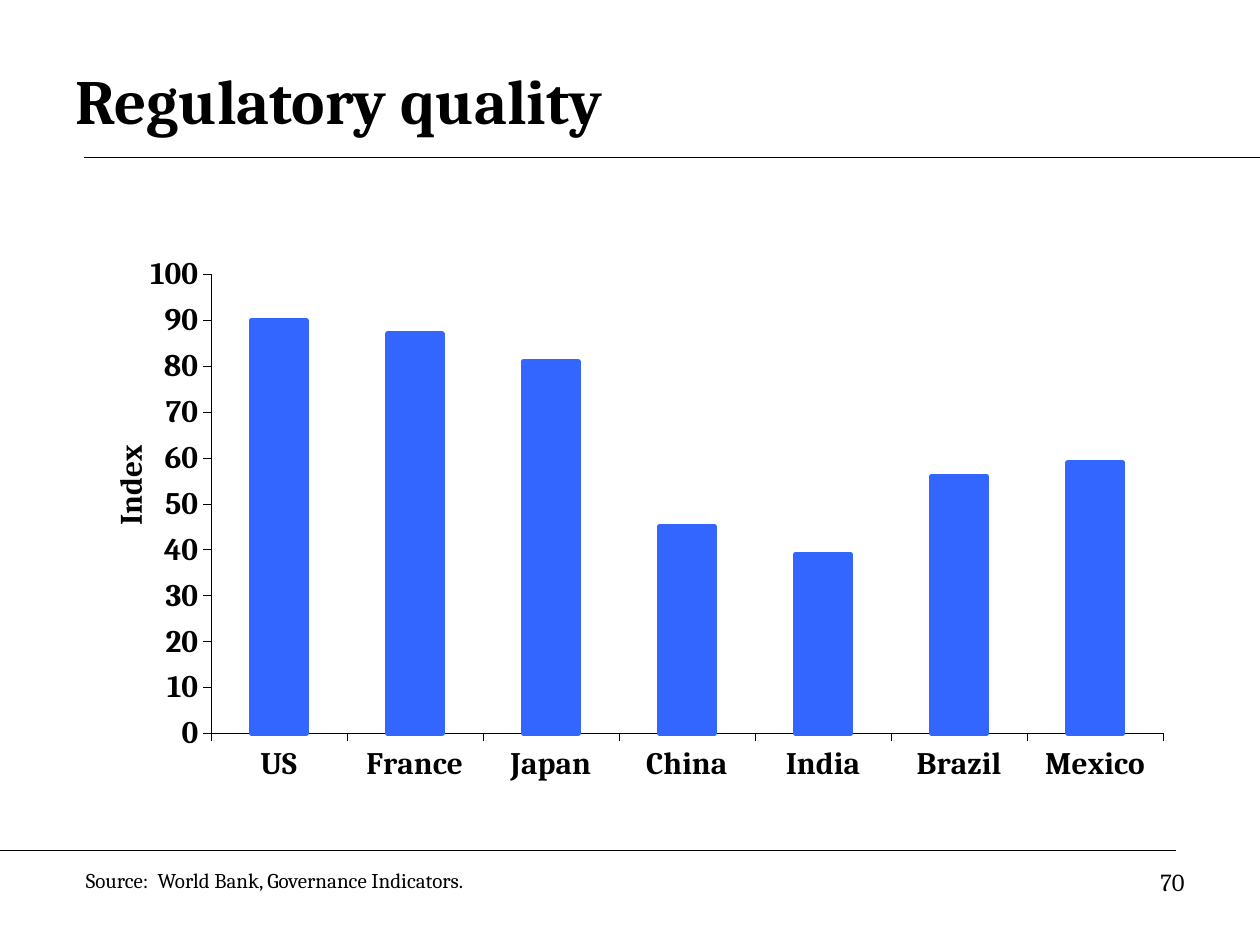
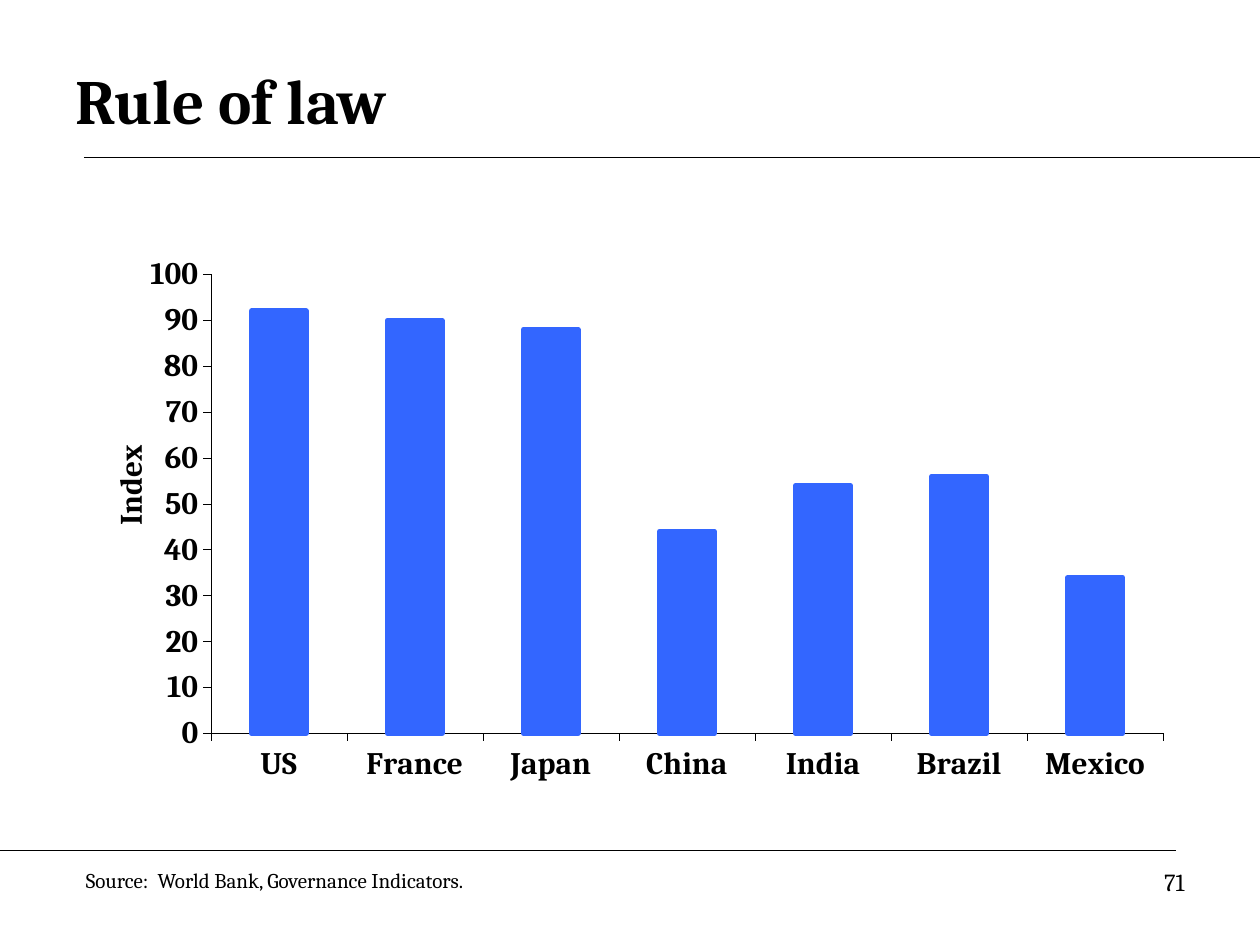
import pptx
import pptx.util
import pptx.chart.data
import pptx.dml.color
import pptx.enum.chart
import pptx.enum.shapes
import pptx.enum.text
import pptx.oxml
import pptx.oxml.ns
from dataclasses import dataclass

Pt = pptx.util.Pt
RGB = pptx.dml.color.RGBColor
qn = pptx.oxml.ns.qn
ALIGN = pptx.enum.text.PP_ALIGN
ANCHOR = pptx.enum.text.MSO_ANCHOR
TICK = pptx.enum.chart.XL_TICK_MARK


@dataclass(frozen=True)
class Theme:
    font: str = "Cambria"
    ink: RGB = RGB(0, 0, 0)
    bar: RGB = RGB(0x33, 0x66, 0xFF)
    title: float = 36
    axis: float = 17.9
    source: float = 12
    number: float = 14
    rule: float = 0.75
    axis_line: float = 0.25
    bar_line: float = 3


theme = Theme()


def add_text(s, box, text, size, bold=False, align=ALIGN.LEFT, anchor=ANCHOR.TOP):
    tf = s.shapes.add_textbox(*map(Pt, box)).text_frame
    tf.word_wrap = True
    tf.vertical_anchor = anchor
    p = tf.paragraphs[0]
    p.alignment = align
    r = p.add_run()
    r.text = text
    r.font.color.rgb = theme.ink
    for name, value in {"name": theme.font, "size": Pt(size), "bold": bold}.items():
        setattr(r.font, name, value)


def set_layout(parent, index, values):
    for old in parent.findall(qn("c:layout")):
        parent.remove(old)
    layout = pptx.oxml.parse_xml(f'<c:layout {pptx.oxml.ns.nsdecls("c")}><c:manualLayout/></c:layout>')
    for tag, value in values.items():
        layout[0].makeelement(qn(f"c:{tag}"))
        child = pptx.oxml.parse_xml(f'<c:{tag} {pptx.oxml.ns.nsdecls("c")} val="{value}"/>')
        layout[0].append(child)
    parent.insert(index, layout)


countries = ["US", "France", "Japan", "China", "India", "Brazil", "Mexico"]
indicators = [
    ("Regulatory quality", [90, 87, 81, 45, 39, 56, 59]),
    ("Rule of law", [92, 90, 88, 44, 54, 56, 34]),
]
rules = [(48, 90, 720, 90), (0, 486, 672, 486)]
first_page = 70

prs = pptx.Presentation()
prs.slide_width, prs.slide_height = Pt(720), Pt(540)

for page, (title, scores) in enumerate(indicators, first_page):
    s = prs.slides.add_slide(prs.slide_layouts[6])

    for ends in rules:
        rule = s.shapes.add_connector(pptx.enum.shapes.MSO_CONNECTOR.STRAIGHT, *map(Pt, ends))
        rule.line.color.rgb = theme.ink
        rule.line.width = Pt(theme.rule)
        rule._element.spPr.append(pptx.oxml.parse_xml(f'<a:effectLst {pptx.oxml.ns.nsdecls("a")}/>'))

    add_text(s, (36, 24, 648, 66), title, theme.title, bold=True, anchor=ANCHOR.MIDDLE)

    data = pptx.chart.data.CategoryChartData()
    data.categories = countries
    data.add_series("Series 1", scores)
    chart = s.shapes.add_chart(
        pptx.enum.chart.XL_CHART_TYPE.COLUMN_CLUSTERED,
        Pt(40.3), Pt(130.3), Pt(630.7), Pt(344.2), data,
    ).chart
    chart.has_legend = False
    chart.has_title = False

    category_axis, value_axis = chart.category_axis, chart.value_axis
    scale = {"minimum_scale": 0, "maximum_scale": 100, "major_unit": 10, "has_major_gridlines": False}
    for name, value in scale.items():
        setattr(value_axis, name, value)

    index_title = value_axis.axis_title
    index_title.text_frame.text = "Index"
    for axis in (category_axis, value_axis):
        axis.major_tick_mark = TICK.OUTSIDE
        axis.minor_tick_mark = TICK.NONE
        axis.format.line.color.rgb = theme.ink
        axis.format.line.width = Pt(theme.axis_line)
    index_font = index_title.text_frame.paragraphs[0].runs[0].font
    for font in (chart.font, category_axis.tick_labels.font, value_axis.tick_labels.font, index_font):
        font.color.rgb = theme.ink
        for name, value in {"name": theme.font, "size": Pt(theme.axis), "bold": True}.items():
            setattr(font, name, value)

    plot = chart.plots[0]
    plot.gap_width = 150
    plot.vary_by_categories = False
    bars = plot.series[0].format
    bars.fill.solid()
    bars.fill.fore_color.rgb = theme.bar
    bars.line.color.rgb = theme.bar
    bars.line.width = Pt(theme.bar_line)

    set_layout(chart._chartSpace.chart.plotArea, 0, {
        "layoutTarget": "inner", "xMode": "edge", "yMode": "edge",
        "x": 0.127, "y": 0.077, "w": 0.863, "h": 0.762,
    })
    set_layout(index_title._element, 1, {"xMode": "edge", "yMode": "edge", "x": 0.03, "y": 0.35})

    add_text(s, (42, 492, 348, 21.6), "Source:  World Bank, Governance Indicators.", theme.source)
    add_text(s, (516, 492, 168, 37.4), str(page), theme.number, align=ALIGN.RIGHT)

prs.save("out.pptx")
